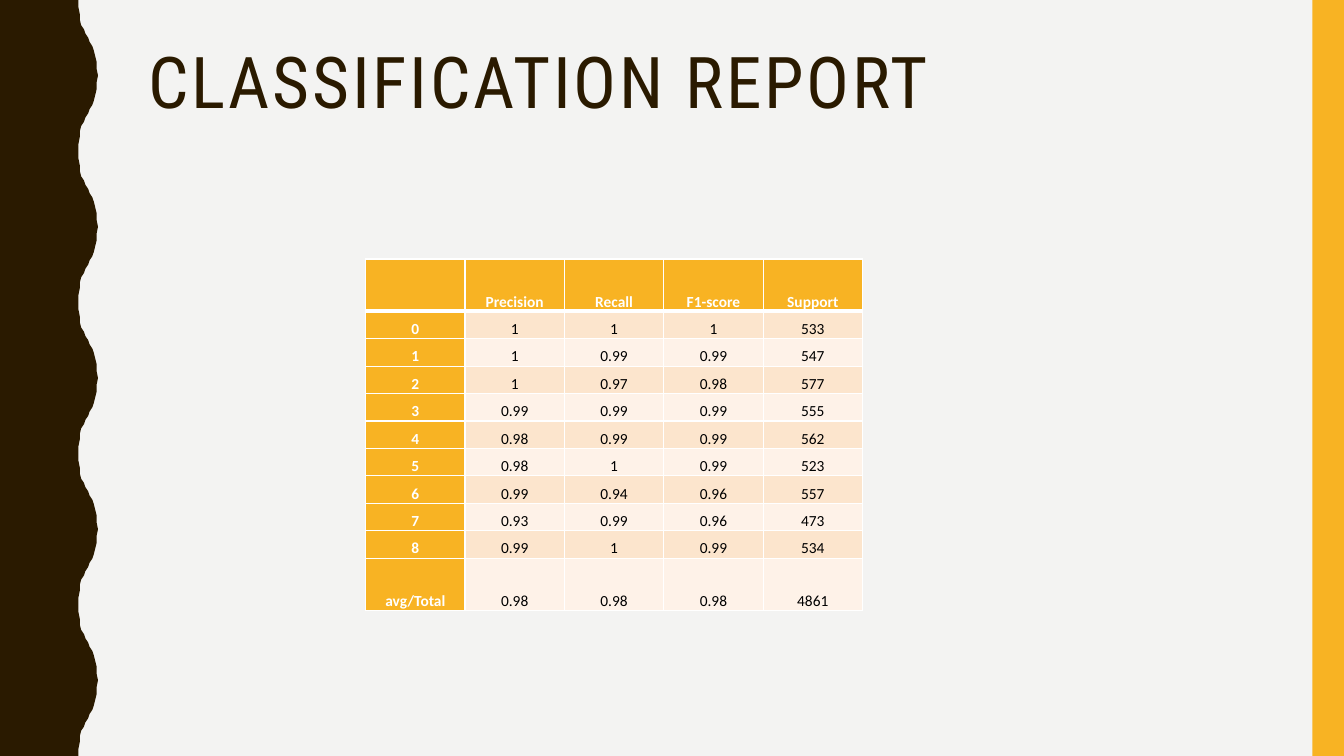
import dataclasses

import pptx
import pptx.dml.color
import pptx.enum.shapes
import pptx.enum.text
import pptx.oxml
import pptx.oxml.ns
import pptx.util

Pt = pptx.util.Pt
ALIGN = pptx.enum.text.PP_ALIGN
ANCHOR = pptx.enum.text.MSO_ANCHOR


@dataclasses.dataclass(frozen=True)
class Theme:
    background: str = "F3F3F2"
    dark: str = "2A1A00"
    accent: str = "F8B323"
    bands: tuple = ("FCE5CD", "FEF2E8")
    light: str = "FFFFFF"
    ink: str = "000000"
    title_font: str = "Roboto Condensed"
    body_font: str = "Calibri"
    title_size: int = 51
    body_size: int = 11


def rgb(value):
    return pptx.dml.color.RGBColor.from_string(value)


def write(frame, text, *, font, size, color, bold=False, align=ALIGN.LEFT, leading=1.0, tracking=0):
    paragraph = frame.paragraphs[0]
    paragraph.alignment = align
    paragraph.line_spacing = leading
    run = paragraph.add_run()
    run.text = text
    run.font.name = font
    run.font.size = Pt(size)
    run.font.bold = bold
    run.font.color.rgb = rgb(color)
    if tracking:
        run.font._element.set("spc", str(tracking * 100))


def set_border(cell, side, color, width):
    line = pptx.oxml.parse_xml(
        f'<a:ln{side} {pptx.oxml.ns.nsdecls("a")} w="{Pt(width)}">'
        f'<a:solidFill><a:srgbClr val="{color}"/></a:solidFill></a:ln{side}>'
    )
    cell._tc.get_or_add_tcPr().append(line)


class SlideBuilder:
    def __init__(self, slide, theme):
        self.slide = slide
        self.theme = theme
        slide.background.fill.solid()
        slide.background.fill.fore_color.rgb = rgb(theme.background)

    def paint(self, shape, color):
        shape.shadow.inherit = False
        shape.fill.solid()
        shape.fill.fore_color.rgb = rgb(color)
        shape.line.fill.background()

    def outline(self, points, color):
        builder = self.slide.shapes.build_freeform(*points[0], scale=Pt(1))
        builder.add_line_segments(points[1:], close=True)
        self.paint(builder.convert_to_shape(), color)

    def bar(self, left, top, width, height, color):
        kind = pptx.enum.shapes.MSO_SHAPE.RECTANGLE
        bar = self.slide.shapes.add_shape(kind, Pt(left), Pt(top), Pt(width), Pt(height))
        self.paint(bar, color)

    def title(self, text, left, top, width, height):
        heading = self.slide.shapes.title
        heading.left, heading.top = Pt(left), Pt(top)
        heading.width, heading.height = Pt(width), Pt(height)
        frame = heading.text_frame
        frame.word_wrap = True
        frame.auto_size = pptx.enum.text.MSO_AUTO_SIZE.NONE
        frame.vertical_anchor = ANCHOR.TOP
        write(frame, text, font=self.theme.title_font, size=self.theme.title_size,
              color=self.theme.dark, leading=0.9, tracking=2)

    def table(self, rows, left, top, column_width, row_heights):
        columns = len(rows[0])
        grid = self.slide.shapes.add_table(
            len(rows), columns, Pt(left), Pt(top),
            Pt(column_width * columns), Pt(sum(row_heights))).table
        for column in grid.columns:
            column.width = Pt(column_width)
        for row, height in zip(grid.rows, row_heights):
            row.height = Pt(height)
        for r, values in enumerate(rows):
            for c, value in enumerate(values):
                self.cell(grid.cell(r, c), value, r, c)

    def cell(self, cell, value, r, c):
        theme = self.theme
        is_label = r == 0 or c == 0
        widths = {"L": 1, "R": 1, "T": 3 if r == 1 else 1, "B": 3 if r == 0 else 1}
        for side, width in widths.items():
            set_border(cell, side, theme.light, width)
        cell.fill.solid()
        cell.fill.fore_color.rgb = rgb(theme.accent if is_label else theme.bands[(r - 1) % 2])
        cell.margin_left = cell.margin_right = Pt(5)
        cell.margin_top = cell.margin_bottom = 0
        cell.vertical_anchor = ANCHOR.BOTTOM
        if value:
            write(cell.text_frame, value, font=theme.body_font, size=theme.body_size,
                  color=theme.light if is_label else theme.ink, bold=is_label,
                  align=ALIGN.CENTER, leading=1.07)


def wavy_edge(left, depth, period, count):
    half = period / 2
    quarter = [(0, 0), (0.25, 5), (0.75, 10), (1.4, 14.4), (2.4, 18), (3.6, 21), (5, 24), (6.75, 27)]
    rise = quarter + [(depth - x, half - y) for x, y in reversed(quarter[:-1])]
    wave = rise[:-1] + [(depth - x, half + y) for x, y in rise[:-1]]
    points = [(left + x, y + n * period) for n in range(count) for x, y in wave]
    return points + [(left, count * period)]


REPORT = [
    ("", "Precision", "Recall", "F1-score", "Support"),
    ("0", "1", "1", "1", "533"),
    ("1", "1", "0.99", "0.99", "547"),
    ("2", "1", "0.97", "0.98", "577"),
    ("3", "0.99", "0.99", "0.99", "555"),
    ("4", "0.98", "0.99", "0.99", "562"),
    ("5", "0.98", "1", "0.99", "523"),
    ("6", "0.99", "0.94", "0.96", "557"),
    ("7", "0.93", "0.99", "0.96", "473"),
    ("8", "0.99", "1", "0.99", "534"),
    ("avg/Total", "0.98", "0.98", "0.98", "4861"),
]

presentation = pptx.Presentation()
presentation.slide_width, presentation.slide_height = Pt(960), Pt(540)
theme = Theme()
report = SlideBuilder(presentation.slides.add_slide(presentation.slide_layouts[5]), theme)
report.outline([(0, 0), *wavy_edge(56, 13.5, 108, 5), (0, 540)], theme.dark)
report.bar(937.5, 0, 22.5, 540, theme.accent)
report.title("CLASSIFICATION REPORT", 98.6, 30, 801.4, 117.5)
report.table(REPORT, 261.2, 185, 71, [37.4, *[19.6] * 9, 37.4])
presentation.save("out.pptx")
